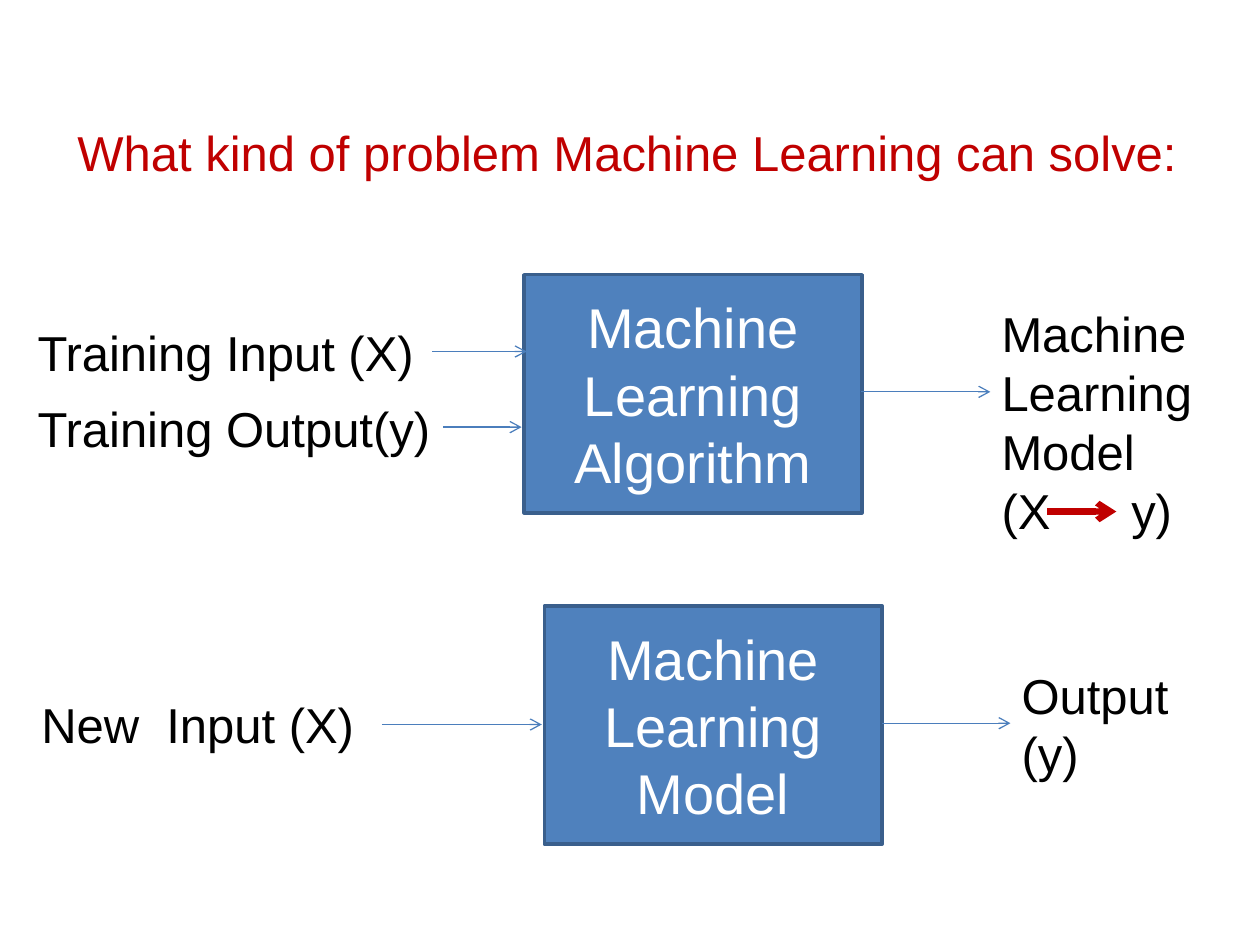
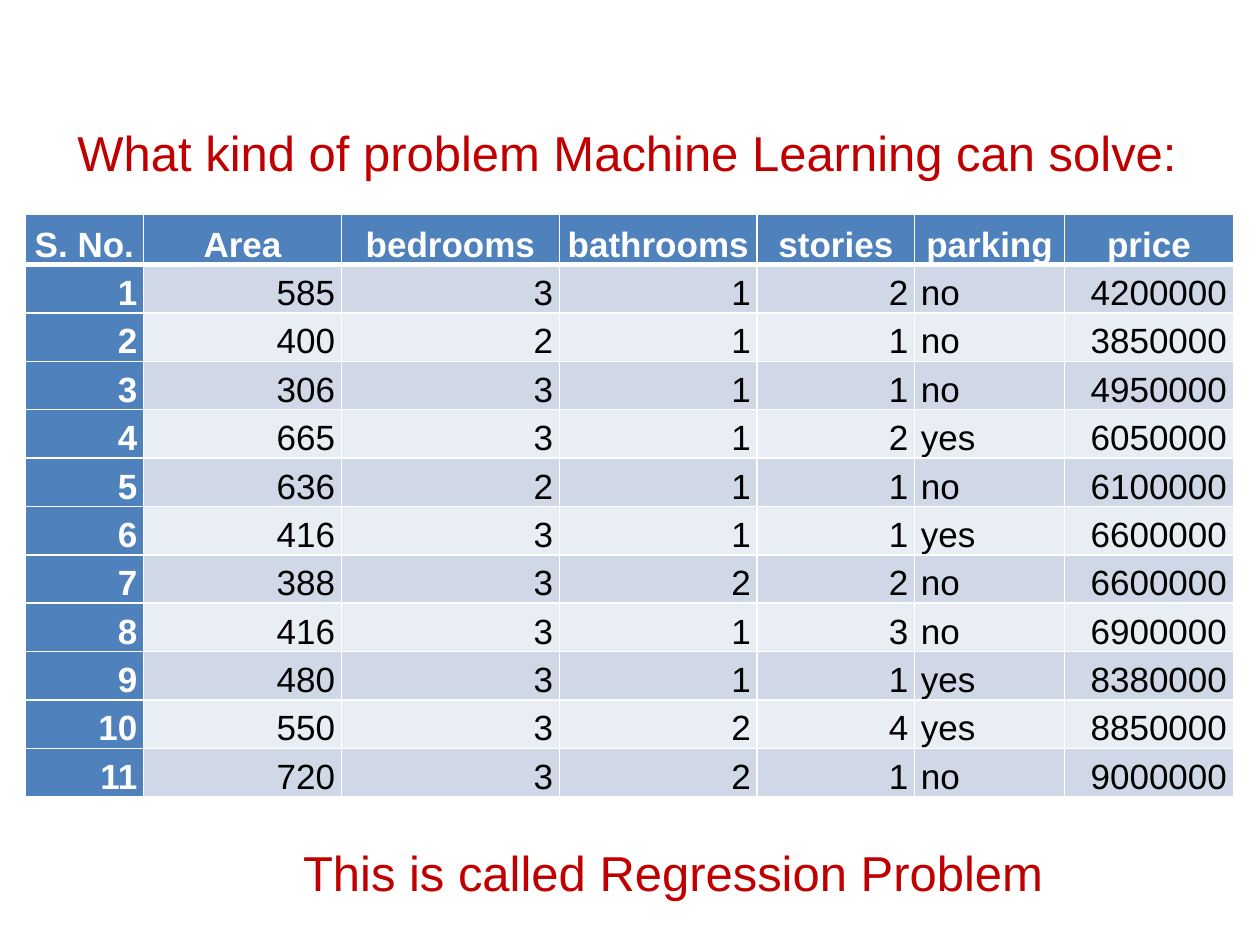
from lxml.etree import SubElement
from pptx import Presentation
from pptx.dml.color import RGBColor
from pptx.enum.shapes import MSO_CONNECTOR, MSO_SHAPE
from pptx.enum.text import MSO_ANCHOR, PP_ALIGN
from pptx.oxml.ns import qn
from pptx.util import Inches, Pt

COLORS = {
    "red": "C00000", "blue": "4F81BD", "box_edge": "3A5F8C", "arrow": "4B7EBC",
    "band_dark": "D0D8E8", "band_light": "E9EDF4", "white": "FFFFFF", "black": "000000",
}
RGB = {name: RGBColor.from_string(value) for name, value in COLORS.items()}
FONT = "Arial"
TITLE = "What kind of problem Machine Learning can solve:"


def write(frame, text, size, color, align=PP_ALIGN.LEFT, anchor=MSO_ANCHOR.TOP):
    """Put text in a frame and format every paragraph."""
    frame.text = text
    frame.word_wrap = True
    frame.vertical_anchor = anchor
    for paragraph in frame.paragraphs:
        paragraph.alignment = align
        for run in paragraph.runs:
            run.font.name = FONT
            run.font.size = Pt(size)
            run.font.color.rgb = RGB[color]


def add_arrow(shapes, x1, x2, y, color="arrow", width=0.75):
    """Draw a horizontal line with an open arrowhead at its right end."""
    arrow = shapes.add_connector(
        MSO_CONNECTOR.STRAIGHT, Inches(x1), Inches(y), Inches(x2), Inches(y))
    arrow.line.color.rgb = RGB[color]
    arrow.line.width = Pt(width)
    SubElement(arrow.line._get_or_add_ln(), qn("a:tailEnd"), type="arrow")
    SubElement(arrow._element.spPr, qn("a:effectLst"))


prs = Presentation()
prs.slide_width, prs.slide_height = Inches(10), Inches(7.5)

# Both slides carry the same title
slides = []
for _ in range(2):
    slide = prs.slides.add_slide(prs.slide_layouts[6])
    title = slide.shapes.add_textbox(Inches(0.2), Inches(0.58), Inches(9.55), Inches(1.25))
    write(title.text_frame, TITLE, 28, "red", PP_ALIGN.CENTER, MSO_ANCHOR.MIDDLE)
    slides.append(slide)
diagram_slide, data_slide = slides

# Slide 1: training flow above, prediction flow below
flows = [
    {"box": ("Machine Learning Algorithm", 4.16, 2.18),
     "arrows": [(3.43, 4.18, 2.79), (3.52, 4.14, 3.39), (6.83, 7.86, 3.11)],
     "labels": [("Training Input (X)", 0.2, 2.51, 3.23, 0.57),
                ("Training Output(y)", 0.2, 3.11, 3.61, 0.57),
                ("Machine Learning Model\n(X\ty)", 7.85, 2.36, 1.81, 1.99)]},
    {"box": ("Machine Learning Model", 4.32, 4.81),
     "arrows": [(3.03, 4.3, 5.75), (7, 8.02, 5.74)],
     "labels": [("New  Input (X)", 0.23, 5.46, 3.23, 0.57),
                ("Output\n(y)", 8.01, 5.23, 1.81, 1.04)]},
]
for flow in flows:
    parts = diagram_slide.shapes.add_group_shape().shapes
    step, left, top = flow["box"]
    box = parts.add_shape(
        MSO_SHAPE.RECTANGLE, Inches(left), Inches(top), Inches(2.68), Inches(1.89))
    box.shadow.inherit = False
    box.fill.solid()
    box.fill.fore_color.rgb = RGB["blue"]
    box.line.color.rgb = RGB["box_edge"]
    box.line.width = Pt(2)
    write(box.text_frame, step, 32, "white", PP_ALIGN.CENTER, MSO_ANCHOR.MIDDLE)
    for x1, x2, y in flow["arrows"]:
        add_arrow(parts, x1, x2, y)
    for text, *place in flow["labels"]:
        label = parts.add_textbox(*map(Inches, place))
        write(label.text_frame, text, 28, "black")
        # A tab stop leaves room for the mapping arrow between X and y
        for paragraph in label.text_frame.paragraphs:
            if "\t" in paragraph.text:
                tabs = SubElement(paragraph._p.get_or_add_pPr(), qn("a:tabLst"))
                SubElement(tabs, qn("a:tab"), pos=str(Inches(1.03)), algn="l")

# Mapping arrow from X to y
add_arrow(diagram_slide.shapes, 8.31, 8.86, 4.06, "red", 3.5)

# Slide 2: house data
header = ["S. No.", "Area", "bedrooms", "bathrooms", "stories", "parking", "price"]
houses = [
    (585, 3, 1, 2, "no", 4200000),
    (400, 2, 1, 1, "no", 3850000),
    (306, 3, 1, 1, "no", 4950000),
    (665, 3, 1, 2, "yes", 6050000),
    (636, 2, 1, 1, "no", 6100000),
    (416, 3, 1, 1, "yes", 6600000),
    (388, 3, 2, 2, "no", 6600000),
    (416, 3, 1, 3, "no", 6900000),
    (480, 3, 1, 1, "yes", 8380000),
    (550, 3, 2, 4, "yes", 8850000),
    (720, 3, 2, 1, "no", 9000000),
]
rows = [header] + [(number, *house) for number, house in enumerate(houses, 1)]
house_table = data_slide.shapes.add_table(
    len(rows), len(header), Inches(0.2), Inches(1.7), Inches(9.6), Inches(4.6)).table
for column, width in zip(house_table.columns, [0.94, 1.57, 1.73, 1.57, 1.25, 1.19, 1.34]):
    column.width = Inches(width)

for r, values in enumerate(rows):
    house_table.rows[r].height = Inches(0.4 if r == 0 else 0.38)
    for c, value in enumerate(values):
        cell = house_table.cell(r, c)
        heading = r == 0 or c == 0
        if r == 0:
            align = PP_ALIGN.CENTER
        elif isinstance(value, str):
            align = PP_ALIGN.LEFT
        else:
            align = PP_ALIGN.RIGHT

        write(cell.text_frame, str(value), 20, "white" if heading else "black", align)
        paragraph = cell.text_frame.paragraphs[0]
        paragraph.line_spacing = 1.15
        paragraph.runs[0].font.bold = heading
        cell.vertical_anchor = MSO_ANCHOR.BOTTOM
        cell.margin_left = cell.margin_right = Inches(0.05)
        cell.margin_top = cell.margin_bottom = 0

        # White borders, thicker between the header and the data
        for side in "LRTB":
            thick = (r, side) in ((0, "B"), (1, "T"))
            border = SubElement(cell._tc.get_or_add_tcPr(), qn(f"a:ln{side}"),
                                w=str(Pt(3 if thick else 1)))
            paint = SubElement(border, qn("a:solidFill"))
            SubElement(paint, qn("a:srgbClr"), val=COLORS["white"])

        cell.fill.solid()
        band = "band_dark" if r % 2 else "band_light"
        cell.fill.fore_color.rgb = RGB["blue" if heading else band]

# Conclusion under the table
conclusion = data_slide.shapes.add_textbox(
    Inches(1.93), Inches(6.64), Inches(6.93), Inches(0.57))
write(conclusion.text_frame, "This is called Regression Problem ", 28, "red", PP_ALIGN.CENTER)

prs.save("out.pptx")
